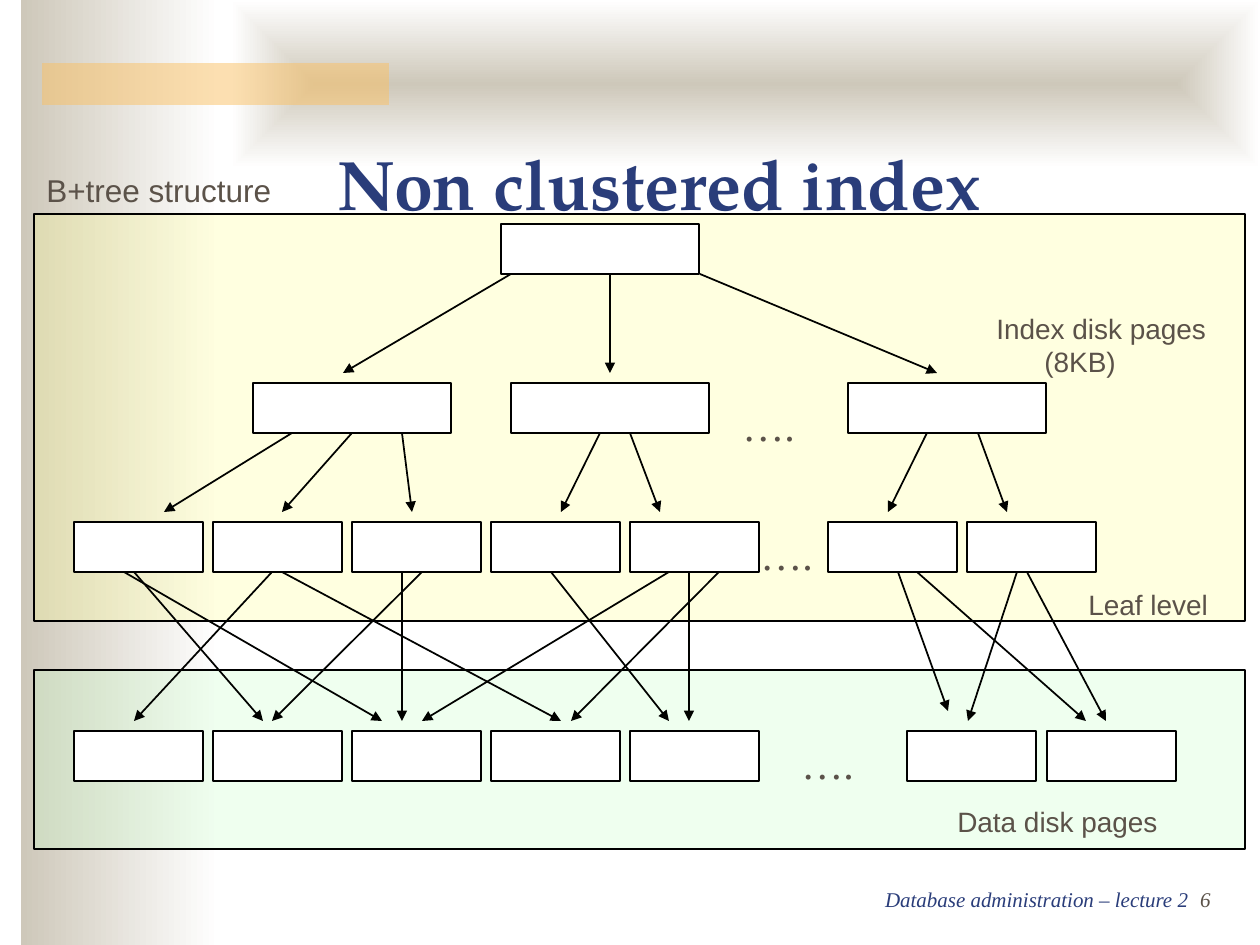
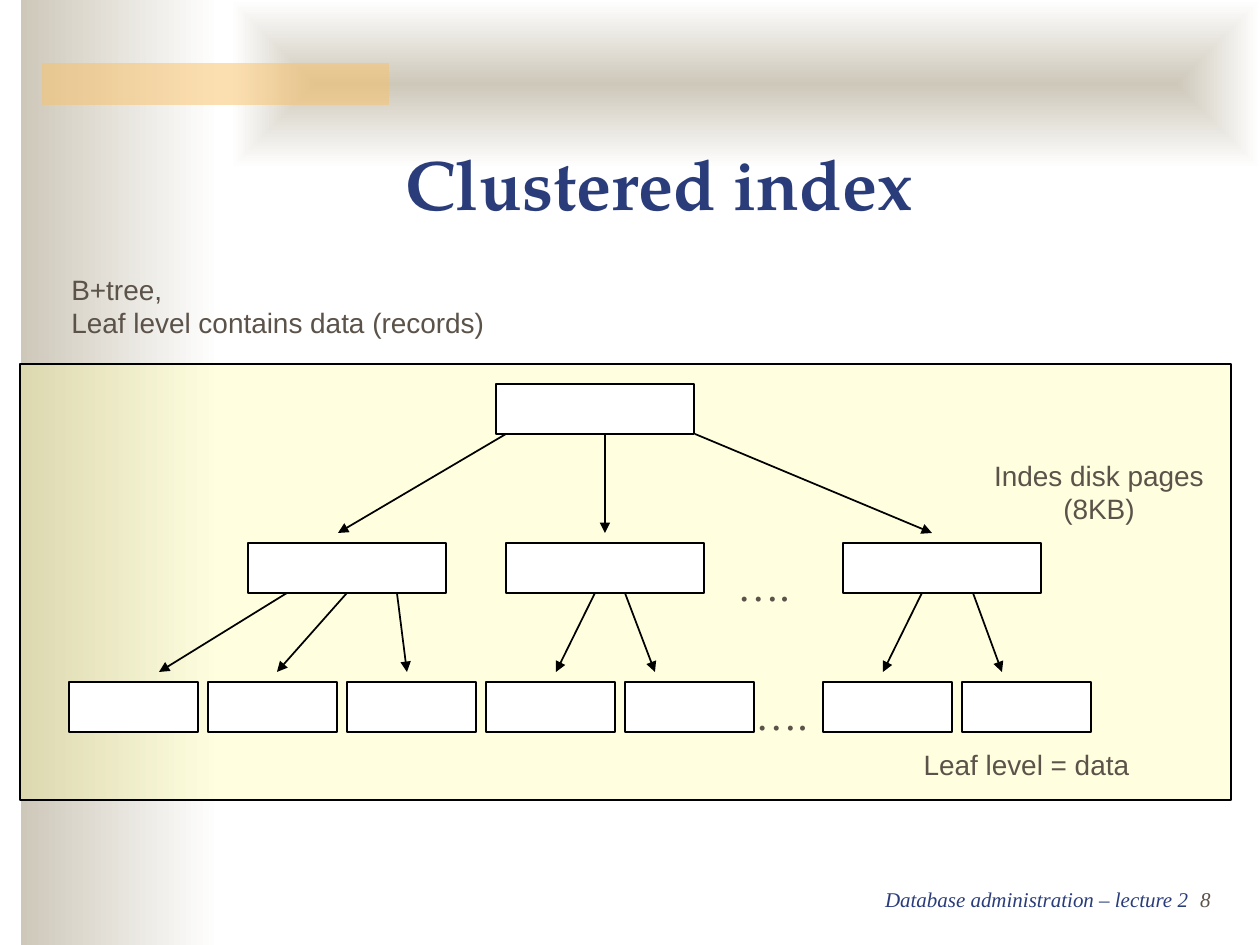
import dataclasses

import lxml.etree
import pptx
import pptx.dml.color
import pptx.enum.shapes
import pptx.enum.text
import pptx.oxml.ns
import pptx.util

PX = 7257  # EMU per px, 126 px to the inch
RGB = pptx.dml.color.RGBColor.from_string
Pt = pptx.util.Pt
qn = pptx.oxml.ns.qn
RECTANGLE = pptx.enum.shapes.MSO_SHAPE.RECTANGLE
STRAIGHT = pptx.enum.shapes.MSO_CONNECTOR.STRAIGHT
ANCHOR = pptx.enum.text.MSO_ANCHOR
FIT = pptx.enum.text.MSO_AUTO_SIZE
LEFT, CENTER, RIGHT = (pptx.enum.text.PP_ALIGN.LEFT, pptx.enum.text.PP_ALIGN.CENTER,
                       pptx.enum.text.PP_ALIGN.RIGHT)


@dataclasses.dataclass(frozen=True)
class Theme:
    navy: str = "2A3D7A"
    brown: str = "5B5249"
    sand: str = "CEC8BA"
    white: str = "FFFFFF"
    amber: str = "FAC164"
    yellow: str = "FFFF99"
    green: str = "CCFFCC"
    outline: str = "000000"
    arrow: str = "010200"
    title_font: str = "TeX Gyre Pagella"
    label_font: str = "Arial"
    serif_font: str = "Times New Roman"
    title_size: int = 40
    dots_size: int = 24
    heading_size: int = 18
    label_size: int = 16
    footer_size: int = 12
    line_width: int = 1


THEME = Theme()
HANG = 48
BOX_HEIGHT = 50
LEAF_LEFTS = [74 + 139 * i for i in range(5)]

# Each level: box lefts, top, box width, and arrows (from x, to x) grouped by their drop.
ROOT = ([501], 224, 198, {99: [(511, 343), (610, 610), (700, 937)]})
BRANCHES = ([253, 511, 848], 383, 198, {
    79: [(292, 164), (352, 282), (402, 412), (600, 561), (630, 660), (927, 888), (978, 1007)]})
LEAVES = (LEAF_LEFTS + [828, 967], 522, 129, {})
LINKED_LEAVES = (*LEAVES[:3], {
    149: [(124, 382), (134, 263), (272, 134), (282, 561), (402, 402), (422, 272), (551, 669),
          (669, 422), (689, 689), (719, 571), (917, 1086), (1017, 968), (1027, 1106)],
    139: [(898, 948)]})
DATA_PAGES = (LEAF_LEFTS + [907, 1047], 731, 129, {})
TREE_DOTS = [(730, 393), (748, 522)]

# Labels: text, bounds, size, alignment, hanging indent.
PAGES = [
    {"title": "Non clustered index", "number": "6", "shift": (0, 0),
     "panels": [((34, 670, 1211, 179), THEME.green), ((34, 214, 1211, 407), THEME.yellow)],
     "levels": [ROOT, BRANCHES, LINKED_LEAVES, DATA_PAGES],
     "dots": TREE_DOTS + [(789, 731)],
     "labels": [
         ("B+tree structure", (34, 165, 318, 50), THEME.heading_size, LEFT, HANG),
         ("Index disk pages (8KB)", (984, 305, 248, 81), THEME.label_size, LEFT, HANG),
         ("Leaf level", (1076, 581, 184, 47), THEME.label_size, LEFT, HANG),
         ("Data disk pages", (945, 798, 292, 47), THEME.label_size, LEFT, HANG)]},
    {"title": "Clustered index", "number": "8", "shift": (-5, 160),
     "panels": [((20, 364, 1211, 436), THEME.yellow)],
     "levels": [ROOT, BRANCHES, LEAVES],
     "dots": TREE_DOTS,
     "labels": [
         ("B+tree,\nLeaf level contains data (records)", (59, 266, 542, 81),
          THEME.label_size, LEFT, 0),
         ("Indes disk pages (8KB)", (965, 452, 268, 81), THEME.label_size, CENTER, 0),
         ("Leaf level = data", (823, 741, 407, 47), THEME.label_size, CENTER, HANG)]},
]


def draw_rect(slide, bounds, color, opacity=100, outlined=True):
    shape = slide.shapes.add_shape(RECTANGLE, *[v * PX for v in bounds])
    shape.shadow.inherit = False
    shape.fill.solid()
    shape.fill.fore_color.rgb = RGB(color)
    if opacity < 100:
        fill_color = shape.element.spPr.find(".//" + qn("a:srgbClr"))
        lxml.etree.SubElement(fill_color, qn("a:alpha"), val=str(opacity * 1000))
    if outlined:
        shape.line.color.rgb = RGB(THEME.outline)
        shape.line.width = Pt(THEME.line_width)
    else:
        shape.line.fill.background()
    return shape


def write(slide, bounds, lines, align=LEFT, hang=0):
    """Add a text box; each line is a list of (text, color, font format) runs."""
    frame = slide.shapes.add_textbox(*[v * PX for v in bounds]).text_frame
    for name, value in {"word_wrap": True, "auto_size": FIT.SHAPE_TO_FIT_TEXT}.items():
        setattr(frame, name, value)
    for i, runs in enumerate(lines):
        paragraph = frame.add_paragraph() if i else frame.paragraphs[0]
        paragraph.alignment = align
        if hang:
            properties = paragraph._p.get_or_add_pPr()
            properties.set("marL", str(hang * PX))
            properties.set("indent", str(-hang * PX))
        for text, color, font_format in runs:
            run = paragraph.add_run()
            run.text = text
            run.font.color.rgb = RGB(color)
            for name, value in font_format.items():
                setattr(run.font, name, value)


deck = pptx.Presentation()
deck.slide_width = pptx.util.Inches(10)
deck.slide_height = pptx.util.Inches(7.5)
title_only = deck.slide_layouts[5]
slides = [deck.slides.add_slide(title_only) for _ in PAGES]

# Shared bands: drawn once, then moved to the back of the slide master
side_band = draw_rect(slides[0], (21, 0, 199, 945), THEME.sand, outlined=False)
top_band = draw_rect(slides[0], (231, 0, 1029, 168), THEME.sand, outlined=False)
accent_bar = draw_rect(slides[0], (42, 63, 347, 42), THEME.amber, 50, outlined=False)
for band in (side_band, top_band):
    band.fill.gradient()
    band.fill.gradient_angle = 0
    for stop, color in zip(band.fill.gradient_stops, (THEME.sand, THEME.white)):
        stop.color.rgb = RGB(color)
gradient = top_band.element.spPr.find(qn("a:gradFill"))
gradient.remove(gradient.find(qn("a:lin")))
from_center = lxml.etree.SubElement(gradient, qn("a:path"), {"path": "shape"})
lxml.etree.SubElement(from_center, qn("a:fillToRect"), dict.fromkeys("ltrb", "50000"))
for i, band in enumerate((side_band, top_band, accent_bar)):
    band.element.nvSpPr.cNvPr.set("id", str(101 + i))
    deck.slide_master.shapes.element.insert(2 + i, band.element)

footer_format = {"name": THEME.serif_font, "size": Pt(THEME.footer_size), "italic": True}
dots_format = {"name": THEME.serif_font, "size": Pt(THEME.dots_size)}
title_format = {"name": THEME.title_font, "size": Pt(THEME.title_size), "bold": True}

for slide, page in zip(slides, PAGES):
    dx, dy = page["shift"]
    footer = [("Database administration – lecture 2\t", THEME.navy, footer_format),
              (page["number"], THEME.brown, footer_format)]
    write(slide, (123, 880, 1100, 38), [footer], RIGHT)
    for bounds, color in page["panels"]:
        draw_rect(slide, bounds, color, 30)

    title = slide.shapes.title
    for name, value in {"left": 78, "top": 73, "width": 1162, "height": 158}.items():
        setattr(title, name, value * PX)
    frame = title.text_frame
    frame.text = page["title"]
    for name, value in {"vertical_anchor": ANCHOR.BOTTOM, "auto_size": FIT.NONE,
                        "word_wrap": True}.items():
        setattr(frame, name, value)
    frame.paragraphs[0].alignment = CENTER
    title_font = frame.paragraphs[0].runs[0].font
    title_font.color.rgb = RGB(THEME.navy)
    for name, value in title_format.items():
        setattr(title_font, name, value)
    slide.shapes.element.append(title.element)  # in front of the panels

    for lefts, top, width, arrows_by_drop in page["levels"]:
        start_y = top + BOX_HEIGHT + dy
        boxes = {left + width // 2: draw_rect(
            slide, (left + dx, top + dy, width, BOX_HEIGHT), THEME.white) for left in lefts}
        for drop, arrows in arrows_by_drop.items():
            for from_x, to_x in arrows:
                ends = (from_x + dx, start_y, to_x + dx, start_y + drop)
                arrow = slide.shapes.add_connector(STRAIGHT, *[v * PX for v in ends])
                if from_x in boxes:
                    arrow.begin_connect(boxes[from_x], 2)
                arrow.line.color.rgb = RGB(THEME.arrow)
                arrow.line.width = Pt(THEME.line_width)
                lxml.etree.SubElement(arrow.line._get_or_add_ln(), qn("a:tailEnd"),
                                      type="triangle")
                lxml.etree.SubElement(arrow.element.spPr, qn("a:effectLst"))

    for left, top in page["dots"]:
        write(slide, (left + dx, top + dy, 100, 53),
              [[("….", THEME.brown, dots_format)]], hang=HANG)
    for text, bounds, size, align, hang in page["labels"]:
        label_format = {"name": THEME.label_font, "size": Pt(size)}
        write(slide, bounds, [[(line, THEME.brown, label_format)] for line in text.split("\n")],
              align, hang)

deck.save("out.pptx")
